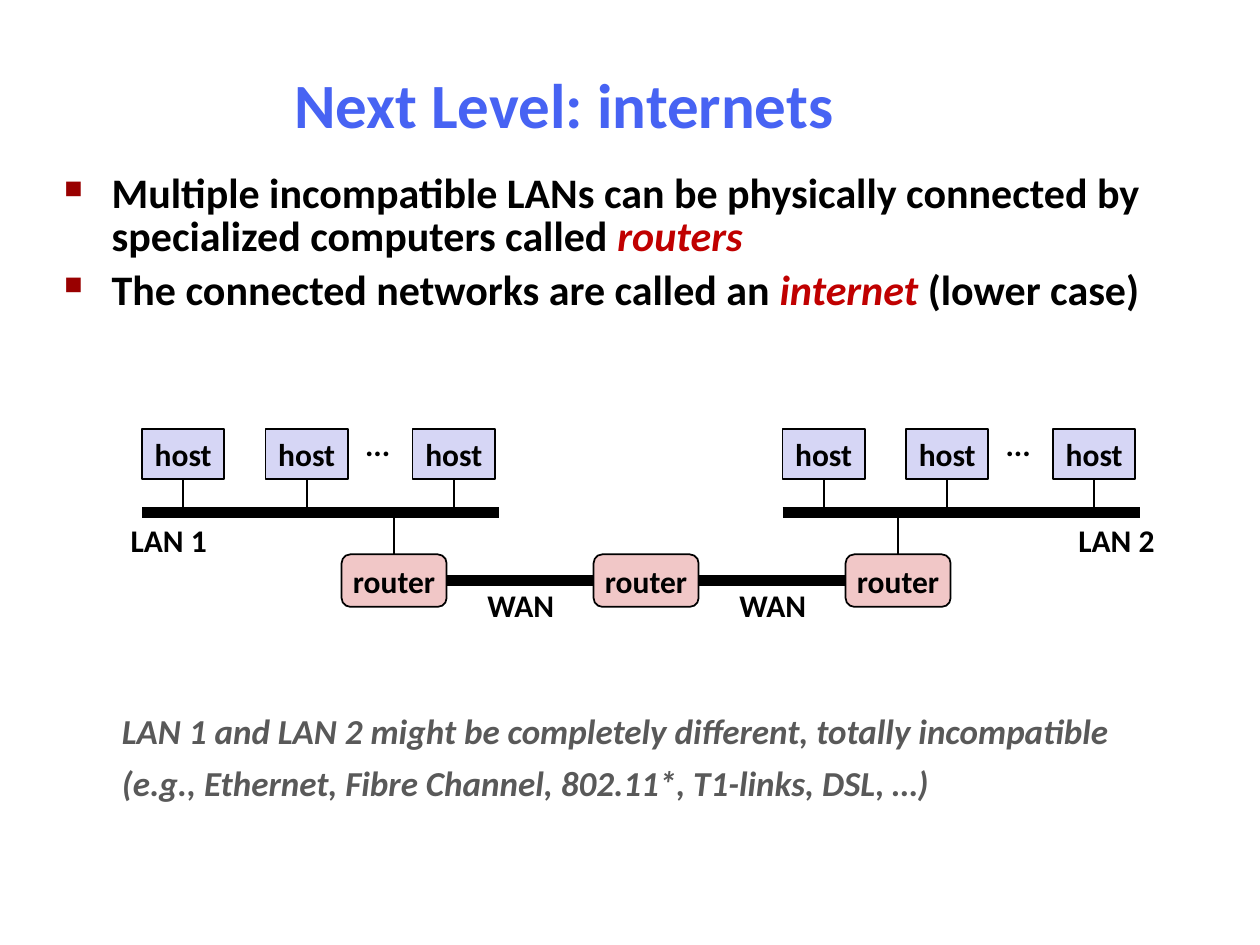
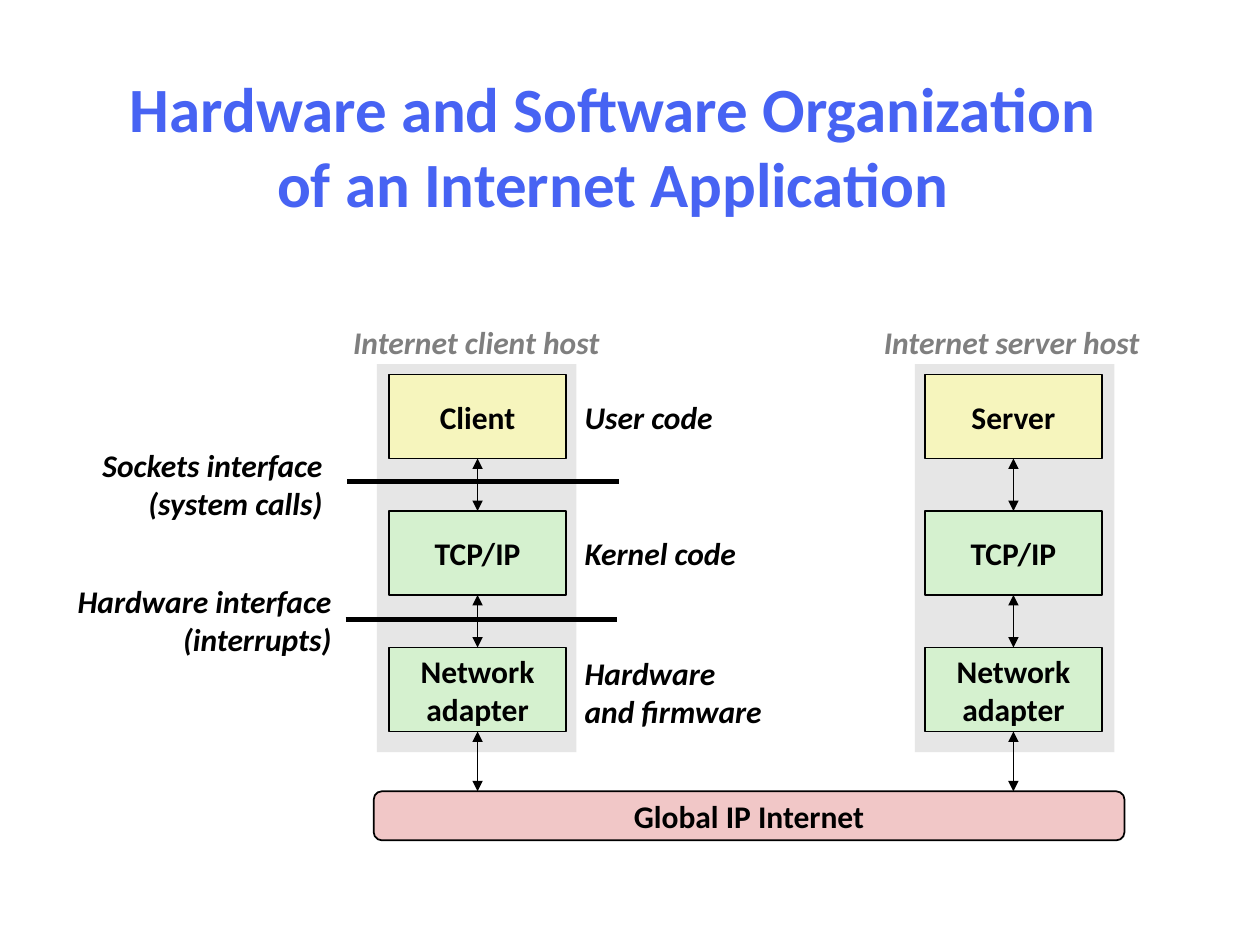
from lxml import etree
from pptx import Presentation
from pptx.dml.color import RGBColor
from pptx.enum import shapes, text
from pptx.oxml import ns
from pptx.util import Pt

FONT = "Calibri"
BLACK, BLUE, RED, MAROON = "000000", "4763F3", "C00000", "990000"
LILAC, PINK, YELLOW, GREEN = "D6D6F5", "F1C7C7", "F6F5BD", "D5F1CF"
PANEL, HOST_GRAY, NOTE_GRAY = "E6E6E6", "7F7F7F", "595959"
RECT, ROUND = shapes.MSO_SHAPE.RECTANGLE, shapes.MSO_SHAPE.ROUNDED_RECTANGLE
LEFT, CENTER, RIGHT = text.PP_ALIGN.LEFT, text.PP_ALIGN.CENTER, text.PP_ALIGN.RIGHT
TOP, MIDDLE = text.MSO_ANCHOR.TOP, text.MSO_ANCHOR.MIDDLE
TITLE = dict(size=36, color=BLUE, wrap=True)


def put(slide, box, lines, form=None, fill=None, outline=True, size=18, color=BLACK,
        italic=False, align=CENTER, anchor=MIDDLE, wrap=False, before=0):
    """Place text; pieces between bars are emphasised, or break the line."""
    area = [Pt(length) for length in box]
    if form is None:
        item = slide.shapes.add_textbox(*area)
    else:
        item = slide.shapes.add_shape(form, *area)
        item.shadow.inherit = False
        item.fill.solid()
        item.fill.fore_color.rgb = RGBColor.from_string(fill)
        if outline:
            item.line.color.rgb = RGBColor.from_string(BLACK)
            item.line.width = Pt(1)
        else:
            item.line.fill.background()
    frame = item.text_frame
    frame.word_wrap = wrap
    frame.vertical_anchor = anchor
    for row, line in enumerate(lines):
        paragraph = frame.add_paragraph() if row else frame.paragraphs[0]
        paragraph.alignment = align
        if row and before:
            paragraph.space_before = Pt(before)
        for part, words in enumerate(line.split("|")):
            if words == "\n":
                paragraph.add_line_break()
                continue
            emphasised = part % 2 == 1
            run = paragraph.add_run()
            run.text = words
            run.font.name = FONT
            run.font.size = Pt(size)
            run.font.bold = True
            run.font.italic = italic or emphasised
            run.font.color.rgb = RGBColor.from_string(RED if emphasised else color)
    return item


def link(slide, start, end, width=1, begin=None, finish=None, arrows=False):
    line = slide.shapes.add_connector(
        shapes.MSO_CONNECTOR.STRAIGHT, *[Pt(length) for length in (*start, *end)])
    if begin:
        line.begin_connect(*begin)
    if finish:
        line.end_connect(*finish)
    line.line.color.rgb = RGBColor.from_string(BLACK)
    line.line.width = Pt(width)
    if arrows:
        stroke = line.line._get_or_add_ln()
        for tip in ("a:headEnd", "a:tailEnd"):
            etree.SubElement(stroke, ns.qn(tip), type="triangle")
    etree.SubElement(line._element.spPr, ns.qn("a:effectLst"))


deck = Presentation()
deck.slide_width, deck.slide_height = Pt(720), Pt(540)
blank = deck.slide_layouts[6]

internets = deck.slides.add_slide(blank)
put(internets, (68.4, 36.4, 507.6, 45.4), ["Next Level: internets"], **TITLE)
points = put(internets, (29.5, 96.3, 655, 95.8), [
    "Multiple incompatible LANs can be physically connected by "
    "specialized computers called |routers",
    "The connected networks are called an |internet |(lower case)",
], size=24, align=LEFT, anchor=TOP, wrap=True, before=6)
for point in points.text_frame.paragraphs:
    settings = point._p.get_or_add_pPr()
    settings.set("marL", str(Pt(27.2)))
    settings.set("indent", str(-Pt(27.2)))
    bullet_color = etree.SubElement(settings, ns.qn("a:buClr"))
    etree.SubElement(bullet_color, ns.qn("a:srgbClr"), val=MAROON)
    etree.SubElement(settings, ns.qn("a:buSzPct"), val="60000")
    etree.SubElement(settings, ns.qn("a:buChar"), char="■")
    point.line_spacing = 0.85

bus_y = 293
routers = [put(internets, (195.2 + 144 * i, 316.8, 60, 30), ["router"], ROUND, PINK)
           for i in range(3)]
for lan_left, router in ((81.2, routers[0]), (447.2, routers[2])):
    link(internets, (lan_left, bus_y), (lan_left + 204, bus_y), 6)
    for offset in (0, 70.6, 154.6):
        host = put(internets, (lan_left + offset, 245, 47, 28.8), ["host"], RECT, LILAC)
        host_x = lan_left + offset + 23.5
        link(internets, (host_x, 273.8), (host_x, bus_y), begin=(host, 2))
    put(internets, (lan_left + 120.2, 239.5, 28.8, 28.8), ["..."])
    router_x = router.left.pt + 30
    link(internets, (router_x, bus_y), (router_x, 316.8), finish=(router, 0))
for i, (near, far) in enumerate(zip(routers, routers[1:])):
    link(internets, (255.2 + 144 * i, 331.8), (339.2 + 144 * i, 331.8), 6,
         (near, 3), (far, 1))
    put(internets, (271 + 144 * i, 331.5, 53.3, 28.8), ["WAN"])
for lan_name, name_left in (("LAN 1", 63.4), ("LAN 2", 605)):
    put(internets, (name_left, 294, 66, 28.8), [lan_name])
put(internets, (62.6, 401.8, 639.4, 61.2), [
    "LAN 1 and LAN 2 might be completely different, totally incompatible",
    "(e.g., Ethernet, Fibre Channel, 802.11*, T1-links, DSL, …)",
], size=20, color=NOTE_GRAY, italic=True, align=LEFT, anchor=TOP, wrap=True, before=6)

organization = deck.slides.add_slide(blank)
put(organization, (30.2, 39.6, 640, 86.4),
    ["Hardware and Software Organization|\n|of an Internet Application"], **TITLE)
internet_top = 452.2
put(organization, (213.6, internet_top, 429, 28), ["Global IP Internet"], ROUND, PINK)
for program, panel_left, layer_left, caption, caption_left, caption_width in (
        ("Client", 215.4, 222.4, "Internet client host", 194.4, 155.5),
        ("Server", 522.8, 528.6, "Internet server host", 497.8, 160.6)):
    put(organization, (panel_left, 208, 114, 221.8), [], RECT, PANEL, outline=False)
    put(organization, (caption_left, 181, caption_width, 28.8), [caption],
        color=HOST_GRAY, italic=True)
    layers = [put(organization, (layer_left, 214 + 78 * i, 101, 48), names, RECT, fill)
              for i, (names, fill) in enumerate((
                  ([program], YELLOW), (["TCP/IP"], GREEN),
                  (["Network", "adapter"], GREEN)))]
    layer_x = layer_left + 50.5
    for i, upper in enumerate(layers):
        lower = (layers[i + 1], 0) if i < 2 else None
        end_y = 292 + 78 * i if lower else internet_top
        link(organization, (layer_x, 262 + 78 * i), (layer_x, end_y),
             begin=(upper, 2), finish=lower, arrows=True)

for box, lines, align in (
        ((50.4, 251.3, 141, 50.4), ["Sockets interface", "(system calls)"], RIGHT),
        ((36.7, 329, 159.8, 50.4), ["Hardware interface", "(interrupts)"], RIGHT),
        ((327, 224, 87.8, 28.8), ["User code"], LEFT),
        ((327, 301.7, 101.5, 28.8), ["Kernel code"], LEFT),
        ((327, 370.1, 116, 50.4), ["Hardware", "and firmware"], LEFT)):
    put(organization, box, lines, italic=True, align=align)
for interface_left, interface_y in ((198.5, 275), (197.5, 354)):
    link(organization, (interface_left, interface_y),
         (interface_left + 155, interface_y), 3)

deck.save("out.pptx")
